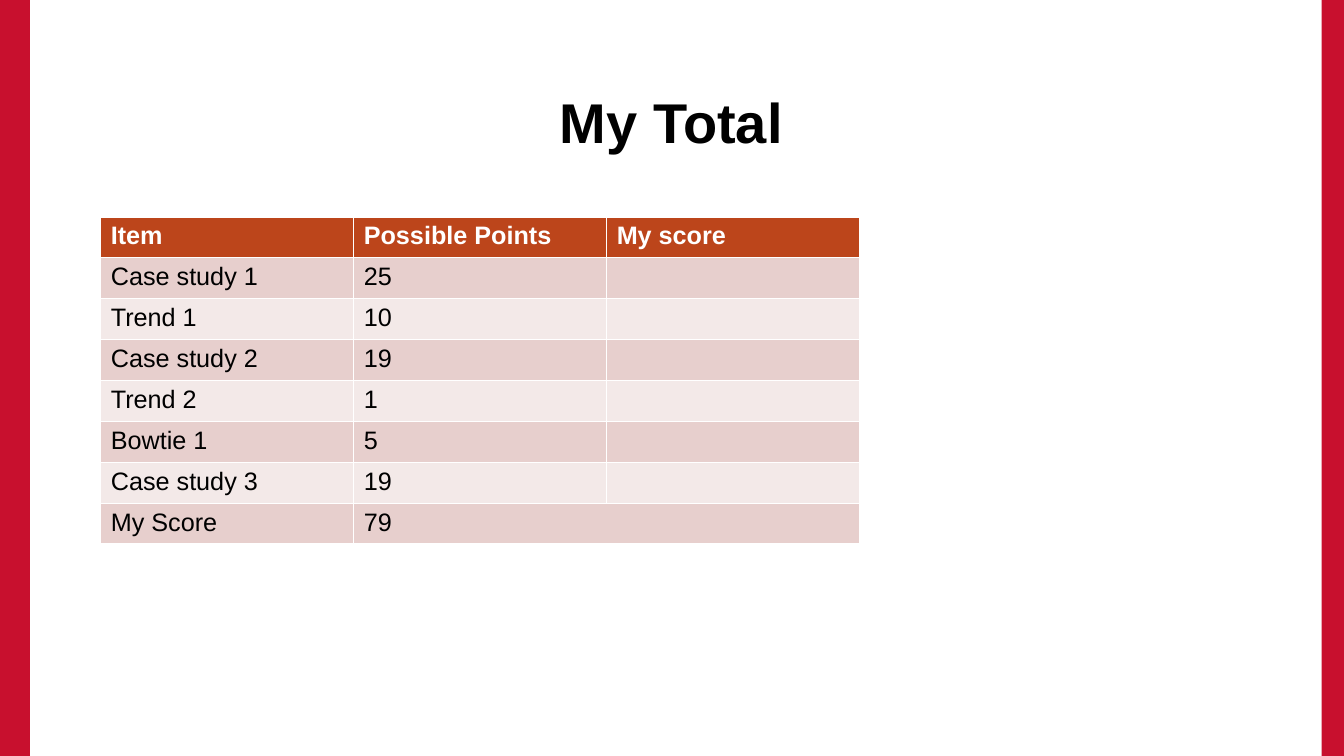
from pptx import Presentation
from pptx.dml.color import RGBColor
from pptx.enum.shapes import MSO_SHAPE
from pptx.enum.text import MSO_ANCHOR, PP_ALIGN
from pptx.util import Pt

RECTANGLE = MSO_SHAPE.RECTANGLE
MIDDLE = MSO_ANCHOR.MIDDLE
LEFT, CENTER = PP_ALIGN.LEFT, PP_ALIGN.CENTER

RED = RGBColor(0xC8, 0x10, 0x2E)
RUST = RGBColor(0xBC, 0x45, 0x1B)
ROSE = RGBColor(0xE7, 0xCF, 0xCD)
PALE = RGBColor(0xF3, 0xE9, 0xE8)
BLACK = RGBColor(0, 0, 0)
WHITE = RGBColor(0xFF, 0xFF, 0xFF)

FONT = "Arial"
WIDTH, HEIGHT = 960, 540
COLUMN_WIDTH, ROW_HEIGHT = 180.7, 29.2
SCORES = [
    ("Item", "Possible Points", "My score"),
    ("Case study 1", "25", ""),
    ("Trend 1", "10", ""),
    ("Case study 2", "19", ""),
    ("Trend 2", "1", ""),
    ("Bowtie 1", "5", ""),
    ("Case study 3", "19", ""),
    ("My Score", "79", ""),
]


def write(tf, text, size=18, color=BLACK, bold=False, align=LEFT):
    p = tf.paragraphs[0]
    p.alignment = align
    r = p.add_run()
    r.text = text
    r.font.name = FONT
    r.font.size = Pt(size)
    r.font.bold = bold
    r.font.color.rgb = color


def add_side_bar(s, left, width):
    sp = s.shapes.add_shape(RECTANGLE, Pt(left), Pt(0), Pt(width), Pt(HEIGHT))
    sp.shadow.inherit = False
    sp.fill.solid()
    sp.fill.fore_color.rgb = RED
    sp.line.fill.background()


def add_title(s, text):
    tf = s.shapes.add_textbox(Pt(72), Pt(48.2), Pt(815), Pt(76.3)).text_frame
    tf.word_wrap = True
    tf.vertical_anchor = MIDDLE
    write(tf, text, size=40, bold=True, align=CENTER)


def add_score_table(s, rows):
    columns = len(rows[0])
    table = s.shapes.add_table(
        len(rows), columns, Pt(72), Pt(155),
        Pt(COLUMN_WIDTH * columns), Pt(ROW_HEIGHT * len(rows))).table
    for column in table.columns:
        column.width = Pt(COLUMN_WIDTH)
    for i, texts in enumerate(rows):
        table.rows[i].height = Pt(ROW_HEIGHT)
        header = i == 0
        fill = RUST if header else ROSE if i % 2 else PALE
        for j, text in enumerate(texts):
            cell = table.cell(i, j)
            cell.fill.solid()
            cell.fill.fore_color.rgb = fill
            if text:
                write(cell.text_frame, text, bold=header,
                      color=WHITE if header else BLACK)
    last = len(rows) - 1
    table.cell(last, 1).merge(table.cell(last, columns - 1))


def main():
    prs = Presentation()
    prs.slide_width, prs.slide_height = Pt(WIDTH), Pt(HEIGHT)
    s = prs.slides.add_slide(prs.slide_layouts[6])
    add_side_bar(s, 0, 21.4)
    add_side_bar(s, 944, 16)
    add_title(s, "My Total")
    add_score_table(s, SCORES)
    prs.save("out.pptx")


if __name__ == "__main__":
    main()
